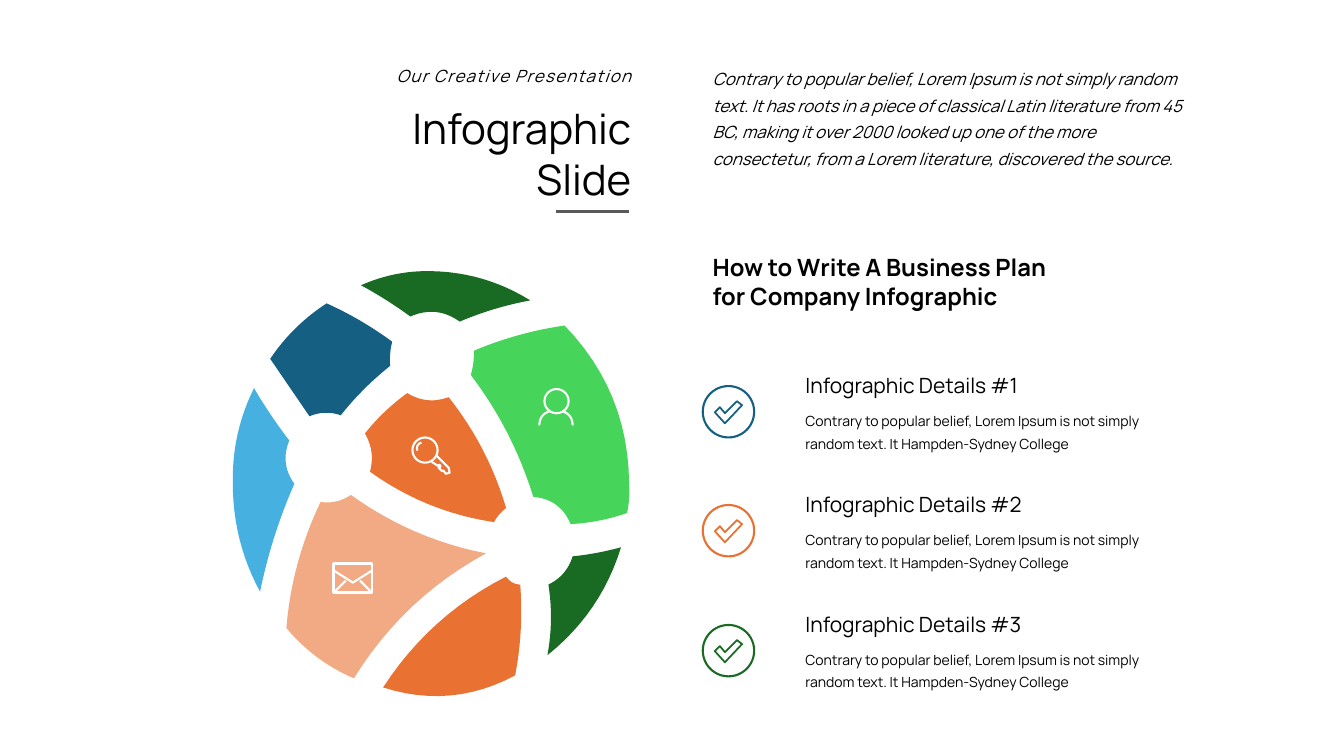
from math import hypot

from pptx import Presentation
from pptx.dml.color import RGBColor
from pptx.enum.shapes import MSO_CONNECTOR, MSO_SHAPE
from pptx.enum.text import MSO_AUTO_SIZE, PP_ALIGN
from pptx.oxml.ns import qn
from pptx.util import Pt
from lxml.etree import SubElement

PX = 9144
FONT = "Manrope"
BLACK = RGBColor(0x00, 0x00, 0x00)
WHITE = RGBColor(0xFF, 0xFF, 0xFF)
GREY = RGBColor(0x59, 0x59, 0x59)
NAVY = RGBColor(0x15, 0x60, 0x82)
SKY = RGBColor(0x46, 0xB1, 0xE1)
FOREST = RGBColor(0x19, 0x6B, 0x24)
LIME = RGBColor(0x47, 0xD4, 0x5A)
ORANGE = RGBColor(0xE9, 0x71, 0x32)
PEACH = RGBColor(0xF2, 0xAA, 0x84)

GLOBE_TILES = [
    (NAVY, [(107, 213, 3), (138, 212, 2), (187, 163, 1), (189, 139, -2), (124, 101, -4),
            (68, 156)]),
    (SKY, [(87, 237, 1), (52, 185, -6), (31, 280, -7), (58, 387, 3), (92, 280, 6)]),
    (FOREST, [(207, 114, 7), (256, 119, 2), (326, 98, -7), (228, 69, -4), (158, 83, 1)]),
    (ORANGE, [(290, 318, 1), (302, 304, -6), (245, 194, 5), (204, 190, -2), (162, 230, 4),
              (167, 268, -8)]),
    (FOREST, [(344, 380, 3), (343, 450, -10), (416, 343, 1), (368, 352, 4)]),
    (PEACH, [(282, 349, 8), (148, 291, 3), (118, 298, -6), (84, 423, -5), (151, 473, 12)]),
    (LIME, [(360, 123, -3), (270, 148, 1), (267, 172, 6), (329, 293, 7), (366, 320, -2),
            (422, 309, -1), (424, 280, -17)]),
    (ORANGE, [(302, 372, -11), (180, 482, -14), (311, 470, -3), (316, 380, 2)]),
]
SHOULDERS = [[(335, 222, 3), (345, 208)], [(358, 208, 3), (368, 222)]]
ENVELOPE_FOLDS = [[(131, 366), (150, 378), (169, 366)],
                  [(132, 387), (143, 376)], [(168, 387), (157, 376)]]
KEY_LINES = [[(214, 247, 2), (218, 239)],
             [(228, 258), (234, 262), (236, 261), (237, 263), (235, 264), (238, 267),
              (240, 267), (242, 270), (246, 269), (245, 264), (233, 252)]]
CHECK = [(34, 33), (22, 45), (17, 39), (12, 44), (22, 55), (39, 37)]
DETAIL_COLORS = [NAVY, ORANGE, FOREST]
DETAIL_TEXT = ("Contrary to popular belief, Lorem Ipsum is not simply random text. "
               "It Hampden-Sydney College")
INTRO_TEXT = ("Contrary to popular belief, Lorem Ipsum is not simply random text. It has "
              "roots in a piece of classical Latin literature from 45 BC, making it over "
              "2000 looked up one of the more consectetur, from a Lorem literature, "
              "discovered the source.")


def bend(start, end, steps=12):
    """Return points from start to end, bowed to the left by the start's third value."""
    x, y, *bulge = start
    dx, dy = end[0] - x, end[1] - y
    if not bulge:
        return [(x + dx, y + dy)]
    points = []
    for step in range(1, steps + 1):
        t = step / steps
        bow = 4 * t * (1 - t) * bulge[0] / hypot(dx, dy)
        points.append((x + t * dx + bow * dy, y + t * dy - bow * dx))
    return points


def paint(shape, fill=None, line=None, weight=1.5):
    """Give a shape its fill and line, leaving out whichever is missing."""
    shape.shadow.inherit = False
    if fill is None:
        shape.fill.background()
    else:
        shape.fill.solid()
        shape.fill.fore_color.rgb = fill
    if line is None:
        shape.line.fill.background()
    else:
        shape.line.color.rgb = line
        shape.line.width = Pt(weight)


def add_outline(shapes, left, top, corners, closed=True, **colors):
    """Draw one freeform through the corners, offset by left and top."""
    ends = corners[1:] + corners[:1] if closed else corners[1:]
    points = [corners[0][:2]]
    for start, end in zip(corners, ends):
        points += bend(start, end)
    points = [(round((left + x) * PX), round((top + y) * PX)) for x, y in points]
    builder = shapes.build_freeform(*points[0], scale=1.0)
    builder.add_line_segments(points[1:], close=closed)
    paint(builder.convert_to_shape(), **colors)


def add_preset(shapes, kind, left, top, width, height, **colors):
    """Draw one preset shape in the given box."""
    box = (length * PX for length in (left, top, width, height))
    paint(shapes.add_shape(kind, *box), **colors)


def add_text(shapes, box, text, size, align=PP_ALIGN.LEFT, bold=False, italic=False,
             leading=None, tracking=None):
    """Add a wrapped text box holding one run."""
    frame = shapes.add_textbox(*(length * PX for length in box)).text_frame
    frame.word_wrap = True
    frame.auto_size = MSO_AUTO_SIZE.SHAPE_TO_FIT_TEXT
    paragraph = frame.paragraphs[0]
    paragraph.alignment = align
    if leading:
        paragraph.line_spacing = Pt(leading)
    run = paragraph.add_run()
    run.text = text
    font = run.font
    font.name, font.size, font.bold, font.italic = FONT, Pt(size), bold, italic
    font.color.rgb = BLACK
    if tracking:
        run._r.get_or_add_rPr().set("spc", str(tracking * 100))


def add_header(shapes, left, top):
    """Place the title, its tagline, the short rule and the introduction."""
    add_text(shapes, (left, top + 40, 334, 111), "Infographic Slide", 30, PP_ALIGN.RIGHT)
    add_text(shapes, (left + 35, top + 3, 299, 30), "Our Creative Presentation", 12,
             PP_ALIGN.RIGHT, italic=True, tracking=1)
    rule_y = (top + 153) * PX
    rule = shapes.add_connector(MSO_CONNECTOR.STRAIGHT, (left + 249) * PX, rule_y,
                                (left + 322) * PX, rule_y)
    rule.line.color.rgb = GREY
    rule.line.width = Pt(2)
    SubElement(rule._element.spPr, qn("a:effectLst"))
    add_text(shapes, (left + 395, top, 495, 141), INTRO_TEXT, 12, italic=True, leading=19)


def add_globe(shapes, left, top):
    """Place the globe's coloured tiles and the icons on them."""
    for color, corners in GLOBE_TILES:
        add_outline(shapes, left, top, corners, fill=color)
    person, envelope, key = (shapes.add_group_shape().shapes for _ in range(3))
    add_preset(person, MSO_SHAPE.OVAL, left + 340, top + 186, 24, 24, line=WHITE)
    add_preset(envelope, MSO_SHAPE.RECTANGLE, left + 131, top + 359, 38, 29, line=WHITE,
               weight=1.75)
    add_preset(key, MSO_SHAPE.OVAL, left + 209, top + 234, 25, 25, line=WHITE)
    for icon, strokes in ((person, SHOULDERS), (envelope, ENVELOPE_FOLDS), (key, KEY_LINES)):
        for stroke in strokes:
            add_outline(icon, left, top, stroke, closed=False, line=WHITE)


def add_detail(shapes, left, top, number, color):
    """Place one check badge with its heading and text."""
    badge = shapes.add_group_shape().shapes
    add_outline(badge, left, top, CHECK, line=color, weight=1.25)
    add_preset(badge, MSO_SHAPE.OVAL, left, top + 18, 51, 51, line=color)
    wording = shapes.add_group_shape().shapes
    add_text(wording, (left + 92, top, 289, 35), f"Infographic Details #{number}", 15)
    add_text(wording, (left + 92, top + 34, 394, 53), DETAIL_TEXT, 10, leading=16)


def add_details(shapes, left, top):
    """Place the section heading and the evenly spaced details below it."""
    add_text(shapes, (left, top, 354, 96),
             "How to Write A Business Plan for Company Infographic", 17, bold=True)
    for index, color in enumerate(DETAIL_COLORS):
        add_detail(shapes, left, top + 119 + index * 237 // 2, index + 1, color)


def main():
    """Build the slide and save it."""
    deck = Presentation()
    deck.slide_width, deck.slide_height = 1333 * PX, 750 * PX
    shapes = deck.slides.add_slide(deck.slide_layouts[6]).shapes
    add_header(shapes, 302, 57)
    add_globe(shapes, 200, 200)
    add_details(shapes, 697, 246)
    deck.save("out.pptx")


if __name__ == "__main__":
    main()
